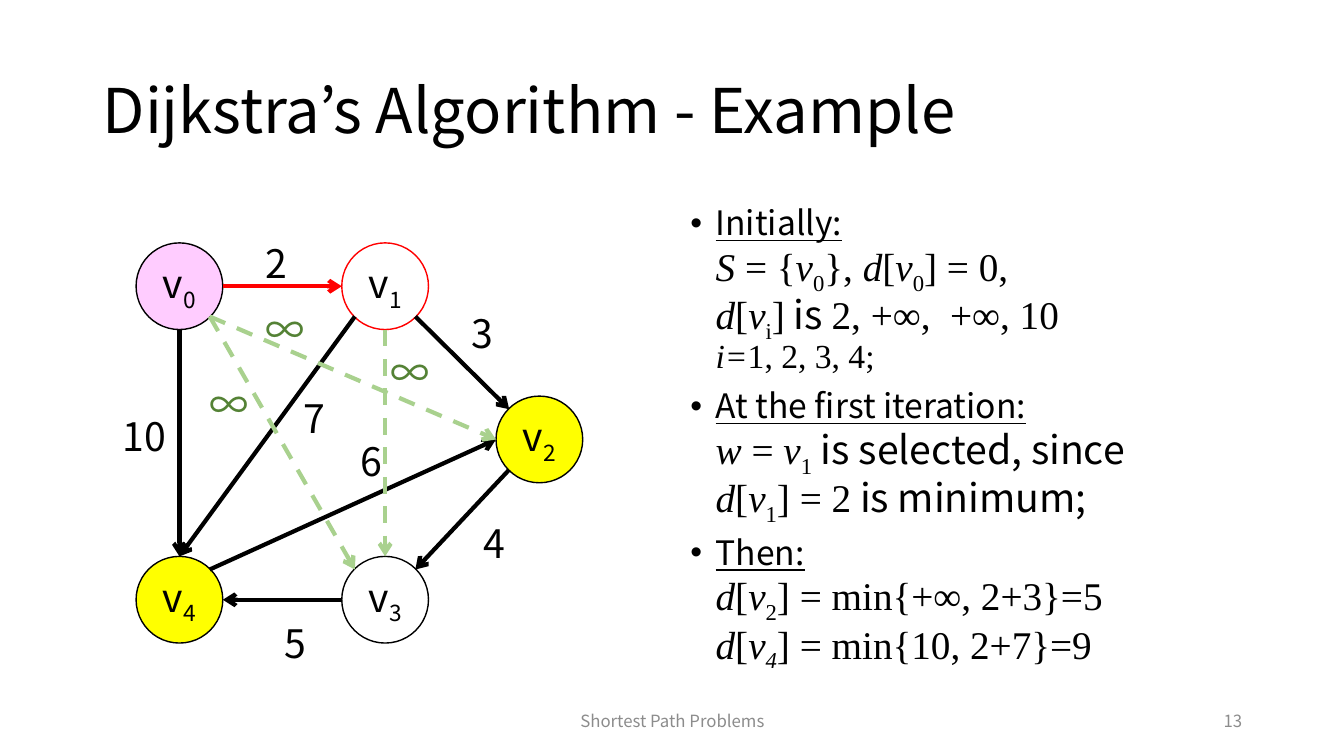
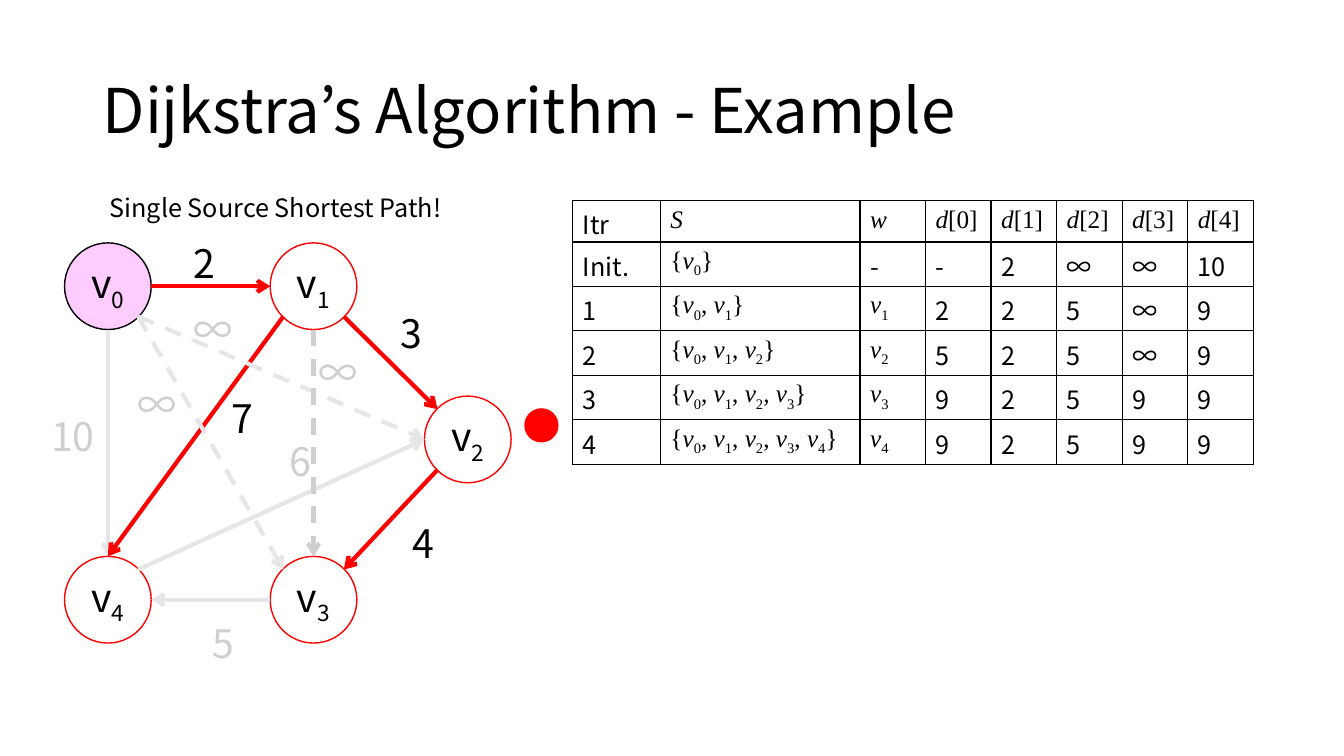
import math
import pptx
import pptx.util
import pptx.dml.color
import pptx.enum.dml
import pptx.enum.shapes
import pptx.enum.text
import pptx.oxml.ns
import lxml.etree

px = 9144
align = pptx.enum.text.PP_ALIGN
middle = pptx.enum.text.MSO_ANCHOR.MIDDLE
oval = pptx.enum.shapes.MSO_SHAPE.OVAL
theme = {
    "ink": "000000", "red": "FF0000", "pink": "FFCCFF", "gold": "FFFF00", "white": "FFFFFF",
    "leaf": "A9D18E", "moss": "548235", "pale": "E7E6E6", "dim": "D0CECE", "gray": "8C8C8C",
    "title": 44, "body": 28, "head": 24, "cell": 18, "foot": 12,
}
sans = {"name": "Noto Sans CJK JP"}
serif = {"name": "Times New Roman"}
forms = {
    "t": sans,
    "h": {**sans, "underline": True, "size": "head"},
    "r": serif,
    "i": {**serif, "italic": True},
    "k": {**serif, "size": "head"},
    "j": {**serif, "size": "head", "italic": True},
    "s": {**serif, "sub": True},
    "e": {**serif, "sub": True, "italic": True},
    "b": {**sans, "sub": True},
}


def tint(key):
    return pptx.dml.color.RGBColor.from_string(theme[key])


def write(par, text, size, color="ink"):
    for part in text.split("|"):
        if part == "n":
            par.add_line_break()
            continue
        run = par.add_run()
        run.text = part[1:]
        form = {"size": size, **forms[part[0]]}
        form["size"] = pptx.util.Pt(theme[form["size"]])
        if form.pop("sub", False):
            run.font._element.set("baseline", "-25000")
        for name, value in form.items():
            setattr(run.font, name, value)
        run.font.color.rgb = tint(color)


deck = pptx.Presentation()
deck.slide_width, deck.slide_height = 1333 * px, 750 * px

radius = 43
spots = [(178, 284), (382, 284), (535, 436), (382, 595), (178, 595)]
sites = {"e": 0, "se": 45, "s": 90, "sw": 135, "w": 180, "nw": 225, "n": 270, "ne": 315}
edges = [
    (0, "s", 4, "n", "10", 112, 404),
    (0, "e", 1, "w", "2", 253, 233),
    (3, "w", 4, "e", "5", 272, 609),
    (2, "sw", 3, "ne", "4", 470, 510),
    (1, "se", 2, "nw", "3", 458, 302),
    (1, "sw", 4, "n", "7", 291, 386),
    (4, "ne", 2, "w", "6", 348, 429),
    (0, "se", 2, "w", "∞", 253, 298),
    (0, "se", 3, "nw", "∞", 198, 372),
    (1, "s", 3, "n", "∞", 377, 341),
]
wide = {"10": 64, "∞": 59}
paints = {
    "k": ("ink", "ink"), "r": ("red", "ink"), "g": ("leaf", "moss"),
    "p": ("pale", "dim"), "d": ("dim", "dim"),
}
views = [
    {
        "shift": 0,
        "fills": ["pink", "white", "gold", "white", "gold"],
        "rims": ["ink", "red", "ink", "ink", "ink"],
        "marks": "krkkkkkggg",
        "notes": [
            ("Shortest Path Problems", 442, 695, 450, 40, "foot", "gray", align.CENTER),
            ("13", 942, 695, 300, 40, "foot", "gray", align.RIGHT),
        ],
    },
    {
        "shift": -71,
        "fills": ["pink", "white", "white", "white", "white"],
        "rims": ["ink", "red", "red", "red", "red"],
        "marks": "prprrrpppd",
        "notes": [("Single Source Shortest Path!", 99, 186, 356, 40, "cell", "ink", align.LEFT)],
    },
]

for view in views:
    slide = deck.slides.add_slide(deck.slide_layouts[6])
    shapes, shift = slide.shapes, view["shift"]
    notes = [("Dijkstra’s Algorithm - Example", 92, 40, 1150, 145, "title", "ink", align.LEFT)]
    for text, left, top, width, height, size, color, side in notes + view["notes"]:
        box = shapes.add_textbox(left * px, top * px, width * px, height * px)
        box.text_frame.word_wrap = True
        box.text_frame.vertical_anchor = middle
        par = box.text_frame.paragraphs[0]
        par.alignment = side
        par.line_spacing = 0.9 if size == "title" else 1.0
        write(par, "t" + text, size, color)

    for spot, (x, y) in enumerate(spots):
        node = shapes.add_shape(oval, (x + shift - radius) * px, (y - radius) * px,
                                2 * radius * px, 2 * radius * px)
        node.shadow.inherit = False
        node.fill.solid()
        node.fill.fore_color.rgb = tint(view["fills"][spot])
        node.line.color.rgb = tint(view["rims"][spot])
        node.line.width = pptx.util.Pt(1)
        node.text_frame.word_wrap = False
        node.text_frame.vertical_anchor = middle
        par = node.text_frame.paragraphs[0]
        par.alignment = align.CENTER
        write(par, f"tv|b{spot}", "body")

    for (start, out, end, into, text, left, top), mark in zip(edges, view["marks"]):
        ends = []
        for spot, site in ((start, out), (end, into)):
            turn = math.radians(sites[site])
            ends.append(round(spots[spot][0] + shift + radius * math.cos(turn)) * px)
            ends.append(round(spots[spot][1] + radius * math.sin(turn)) * px)
        edge = shapes.add_connector(pptx.enum.shapes.MSO_CONNECTOR.STRAIGHT, *ends)
        stroke, color = paints[mark]
        edge.line.color.rgb = tint(stroke)
        edge.line.width = pptx.util.Pt(3)
        if text == "∞":
            edge.line.dash_style = pptx.enum.dml.MSO_LINE.DASH
        tail = lxml.etree.SubElement(edge.line._get_or_add_ln(), pptx.oxml.ns.qn("a:tailEnd"))
        tail.set("type", "arrow")
        lxml.etree.SubElement(edge._element.spPr, pptx.oxml.ns.qn("a:effectLst"))
        box = shapes.add_textbox((left + shift) * px, top * px, wide.get(text, 42) * px, 57 * px)
        box.text_frame.word_wrap = False
        box.text_frame.auto_size = pptx.enum.text.MSO_AUTO_SIZE.SHAPE_TO_FIT_TEXT
        write(box.text_frame.paragraphs[0], "t" + text, "body", color)

steps = [
    "hInitially:|n|iS |r= {|iv|s0|r}, |id|r[|iv|s0|r] = 0,|n"
    "|id|r[|iv|si|r]|t is |r2, +∞,  +∞, 10|n|ji=|k1, 2, 3, 4;",
    "hAt the first iteration:|n|iw |r= |iv|s1|t is selected, since|n"
    "|id|r[|iv|s1|r] = 2|t is minimum;",
    "hThen:|n|id|r[|iv|s2|r] = min{+∞, 2+3}=5|n|id|r[|iv|e4|r] = min{10, 2+7}=9",
]
box = deck.slides[0].shapes.add_textbox(675 * px, 200 * px, 567 * px, 476 * px)
box.text_frame.word_wrap = True
for step, text in enumerate(steps):
    par = box.text_frame.add_paragraph() if step else box.text_frame.paragraphs[0]
    par.line_spacing = 0.9
    par.space_before = pptx.util.Pt(10)
    props = par._p.get_or_add_pPr()
    props.set("marL", str(25 * px))
    props.set("indent", str(-25 * px))
    lxml.etree.SubElement(props, pptx.oxml.ns.qn("a:buFont")).set("typeface", "Arial")
    lxml.etree.SubElement(props, pptx.oxml.ns.qn("a:buChar")).set("char", "•")
    write(par, text, "body")

shapes = deck.slides[1].shapes
dot = shapes.add_shape(oval, 520 * px, 405 * px, 34 * px, 34 * px)
dot.shadow.inherit = False
dot.fill.solid()
dot.fill.fore_color.rgb = tint("red")
dot.line.fill.background()

dists = ["- 2 ∞ ∞ 10", "2 2 5 ∞ 9", "5 2 5 ∞ 9", "9 2 5 9 9", "9 2 5 9 9"]
rows = [["tItr", "iS", "iw"] + [f"id|r[{spot}]" for spot in range(5)]]
for turn, line in enumerate(dists):
    group = "|r, |".join(f"iv|s{spot}" for spot in range(turn + 1))
    label, pick = (f"t{turn}", f"iv|s{turn}") if turn else ("tInit.", "t-")
    rows.append([label, "r{|" + group + "|r}", pick] + ["t" + dist for dist in line.split()])
cols = [87, 198] + [65] * 6
grid = shapes.add_table(len(rows), len(cols), 568 * px, 199 * px, sum(cols) * px, 246 * px).table
grid.first_row = grid.horz_banding = False
for col, width in zip(grid.columns, cols):
    col.width = width * px
for row, texts in zip(grid.rows, rows):
    row.height = 41 * px
    for cell, text in zip(row.cells, texts):
        write(cell.text_frame.paragraphs[0], text, "cell")
        props = cell._tc.get_or_add_tcPr()
        for side in ("lnL", "lnR", "lnT", "lnB"):
            rule = lxml.etree.SubElement(props, pptx.oxml.ns.qn("a:" + side), w="12700")
            fill = lxml.etree.SubElement(rule, pptx.oxml.ns.qn("a:solidFill"))
            lxml.etree.SubElement(fill, pptx.oxml.ns.qn("a:srgbClr"), val=theme["ink"])
        cell.fill.background()

deck.save("out.pptx")
